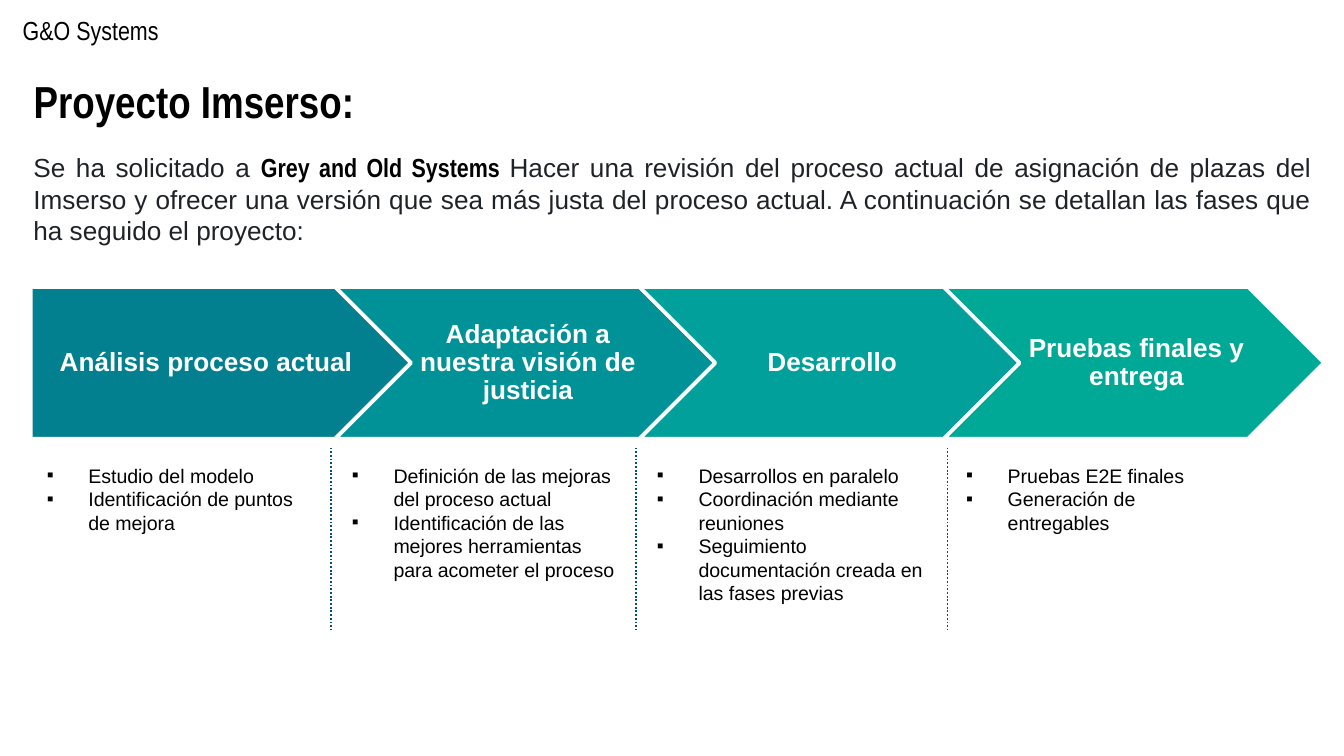
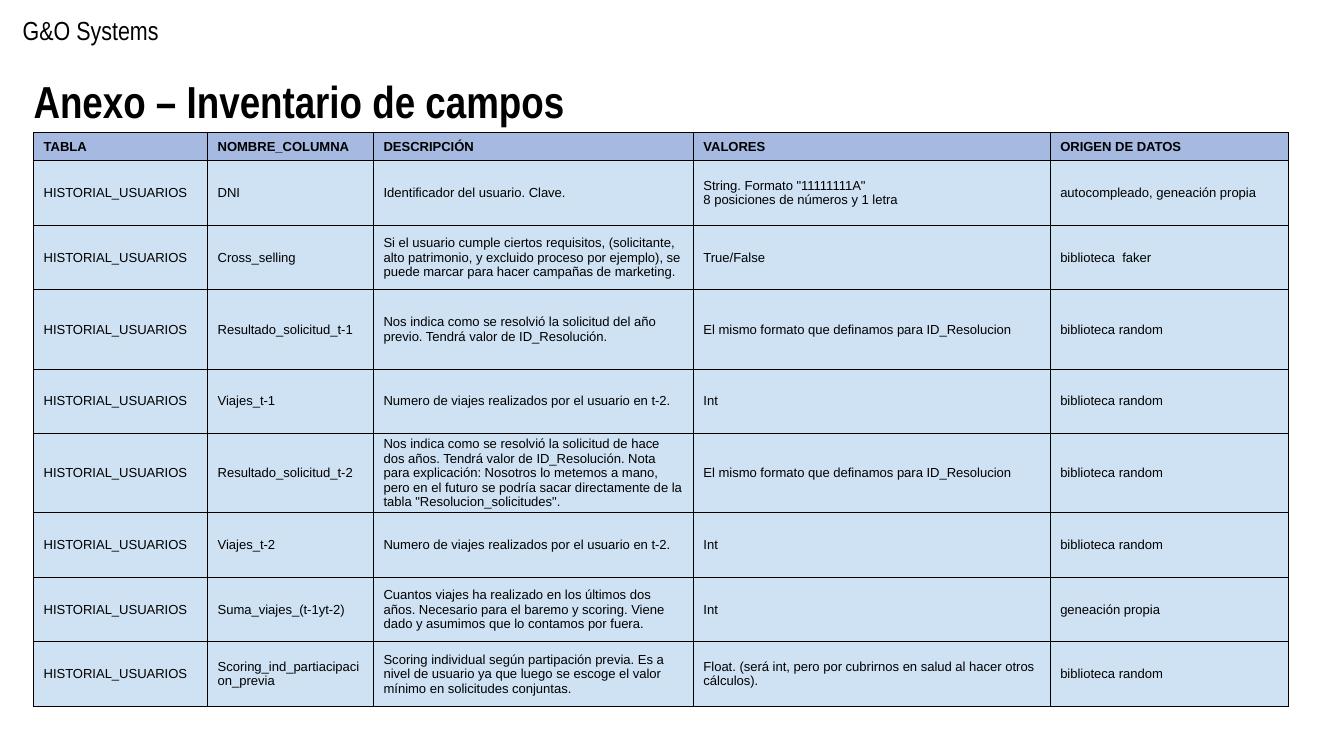
import lxml.etree
import pptx
import pptx.dml.color
import pptx.enum.dml
import pptx.enum.shapes
import pptx.enum.text
import pptx.oxml.ns
import pptx.util

RGBColor = pptx.dml.color.RGBColor
Align = pptx.enum.text.PP_ALIGN
Anchor = pptx.enum.text.MSO_ANCHOR
Shape = pptx.enum.shapes.MSO_SHAPE
qn = pptx.oxml.ns.qn

BLACK = RGBColor(0x00, 0x00, 0x00)
WHITE = RGBColor(0xFF, 0xFF, 0xFF)
INK = RGBColor(0x1F, 0x23, 0x28)
DIVIDER = RGBColor(0x00, 0x52, 0x72)
HEADER_FILL = RGBColor(0xA6, 0xB9, 0xE1)
BODY_FILL = RGBColor(0xCF, 0xE2, 0xF3)
PHASE_FILLS = [
    RGBColor(0x02, 0x80, 0x90),
    RGBColor(0x01, 0x92, 0x98),
    RGBColor(0x01, 0xA0, 0x9B),
    RGBColor(0x00, 0xA8, 0x96),
]

COLUMNS, ROWS = 100, 56.25
BODY_FONT, HEADING_FONT = "Arial", "Arial Narrow"

PHASES = [
    ("Análisis proceso actual", 2.5,
     ["Estudio del modelo", "Identificación de puntos de mejora"]),
    ("Adaptación a nuestra visión de justicia", 25.2,
     ["Definición de las mejoras del proceso actual",
      "Identificación de las mejores herramientas para acometer el proceso"]),
    ("Desarrollo", 47.9,
     ["Desarrollos en paralelo", "Coordinación mediante reuniones",
      "Seguimiento documentación creada en las fases previas"]),
    ("Pruebas finales y entrega", 70.9,
     ["Pruebas E2E finales", "Generación de entregables"]),
]
DIVIDERS = [24.6, 47.3, 70.5]

FIELD_HEADER = ["TABLA", "NOMBRE_COLUMNA", "DESCRIPCIÓN", "VALORES", "ORIGEN DE DATOS"]
FIELD_TABLE = "HISTORIAL_USUARIOS"
TRIPS = "Numero de viajes realizados por el usuario en t-2."
RESULT_FORMAT = "El mismo formato que definamos para ID_Resolucion"
RANDOM = "biblioteca random"
FIELDS = [
    ("DNI", "Identificador del usuario. Clave.",
     'String. Formato "11111111A"\v8 posiciones de números y 1 letra',
     "autocompleado, geneación propia"),
    ("Cross_selling",
     "Si el usuario cumple ciertos requisitos, (solicitante, alto patrimonio, y excluido "
     "proceso por ejemplo), se puede marcar para hacer campañas de marketing.",
     "True/False", "biblioteca  faker"),
    ("Resultado_solicitud_t-1",
     "Nos indica como se resolvió la solicitud del año previo. Tendrá valor de ID_Resolución.",
     RESULT_FORMAT, RANDOM),
    ("Viajes_t-1", TRIPS, "Int", RANDOM),
    ("Resultado_solicitud_t-2",
     "Nos indica como se resolvió la solicitud de hace dos años. Tendrá valor de ID_Resolución. "
     "Nota para explicación: Nosotros lo metemos a mano, pero en el futuro se podría sacar "
     'directamente de la tabla "Resolucion_solicitudes".',
     RESULT_FORMAT, RANDOM),
    ("Viajes_t-2", TRIPS, "Int", RANDOM),
    ("Suma_viajes_(t-1yt-2)",
     "Cuantos viajes ha realizado en los últimos dos años. Necesario para el baremo y scoring. "
     "Viene dado y asumimos que lo contamos por fuera.",
     "Int", "geneación propia"),
    ("Scoring_ind_partiacipacion_previa",
     "Scoring individual según partipación previa. Es a nivel de usuario ya que luego se escoge "
     "el valor mínimo en solicitudes conjuntas.",
     "Float. (será int, pero por cubrirnos en salud al hacer otros cálculos).", RANDOM),
]
FIELD_WIDTHS = [12.95, 12.35, 23.8, 26.55, 17.7]
FIELD_HEIGHTS = [2.1, 4.8, 4.8, 5.9, 4.8, 5.9, 4.8, 4.8, 4.8]


class Builder:
    def __init__(self):
        self.deck = pptx.Presentation()
        self.deck.slide_width = pptx.util.Inches(10)
        self.deck.slide_height = self.deck.slide_width * 9 // 16
        self.page = None

    def across(self, columns):
        return round(self.deck.slide_width * columns / COLUMNS)

    def down(self, rows):
        return round(self.deck.slide_height * rows / ROWS)

    def area(self, left, top, width, height):
        return self.across(left), self.down(top), self.across(width), self.down(height)

    def style(self, span, size, color=BLACK, bold=False, name=BODY_FONT):
        span.font.name = name
        span.font.size = pptx.util.Pt(size)
        span.font.bold = bold
        span.font.color.rgb = color

    def inset(self, holder, left, top, right, bottom):
        holder.margin_left = self.across(left)
        holder.margin_top = self.down(top)
        holder.margin_right = self.across(right)
        holder.margin_bottom = self.down(bottom)

    def add_page(self, title, width):
        self.page = self.deck.slides.add_slide(self.deck.slide_layouts[5])
        header = self.add_text(0.7, 0.5, 19.2, 3.4, ["G&O Systems"])
        header.vertical_anchor = Anchor.MIDDLE
        self.style(header.paragraphs[0].runs[0], 14, name=HEADING_FONT)
        box = self.page.shapes.title
        box.left, box.top, box.width, box.height = self.area(1.5, 4.5, width, 6.3)
        frame = box.text_frame
        frame.text = title
        frame.word_wrap = True
        frame.auto_size = pptx.enum.text.MSO_AUTO_SIZE.NONE
        frame.vertical_anchor = Anchor.TOP
        self.inset(frame, 1, 1, 1, 1)
        frame.paragraphs[0].alignment = Align.LEFT
        self.style(frame.paragraphs[0].runs[0], 24, bold=True, name=HEADING_FONT)

    def add_text(self, left, top, width, height, lines):
        frame = self.page.shapes.add_textbox(*self.area(left, top, width, height)).text_frame
        frame.word_wrap = True
        frame.auto_size = pptx.enum.text.MSO_AUTO_SIZE.SHAPE_TO_FIT_TEXT
        frame.text = "\n".join(lines)
        return frame

    def add_intro(self, left, top, width, height, spans):
        para = self.add_text(left, top, width, height, []).paragraphs[0]
        para.alignment = Align.JUSTIFY
        for text, strong in spans:
            span = para.add_run()
            span.text = text
            if strong:
                self.style(span, 14, bold=True, name=HEADING_FONT)
            else:
                self.style(span, 14, INK)

    def add_bullets(self, left, top, width, height, lines):
        indent = self.across(3.1)
        for para in self.add_text(left, top, width, height, lines).paragraphs:
            properties = para._p.get_or_add_pPr()
            properties.set("marL", str(indent))
            properties.set("indent", str(-indent))
            color = lxml.etree.SubElement(properties, qn("a:buClr"))
            lxml.etree.SubElement(color, qn("a:srgbClr"), val=str(BLACK))
            lxml.etree.SubElement(properties, qn("a:buFont"), typeface=BODY_FONT)
            lxml.etree.SubElement(properties, qn("a:buChar"), char="▪")
            self.style(para.runs[0], 10.5)

    def add_phase(self, kind, left, top, width, height, fill, text, margin):
        shape = self.page.shapes.add_shape(kind, *self.area(left, top, width, height))
        shape.shadow.inherit = False
        shape.fill.solid()
        shape.fill.fore_color.rgb = fill
        shape.line.color.rgb = WHITE
        shape.line.width = pptx.util.Pt(2)
        frame = shape.text_frame
        frame.text = text
        frame.word_wrap = True
        frame.vertical_anchor = Anchor.MIDDLE
        self.inset(frame, margin, 0.4, 0.2, 0.4)
        para = frame.paragraphs[0]
        para.alignment = Align.CENTER
        para.line_spacing = 0.9
        self.style(para.runs[0], 14, WHITE, True)

    def add_divider(self, column, top, bottom):
        line = self.page.shapes.add_connector(
            pptx.enum.shapes.MSO_CONNECTOR.STRAIGHT,
            self.across(column), self.down(top), self.across(column), self.down(bottom))
        line.line.color.rgb = DIVIDER
        line.line.width = pptx.util.Pt(1)
        line.line.dash_style = pptx.enum.dml.MSO_LINE.ROUND_DOT
        lxml.etree.SubElement(line._element.spPr, qn("a:effectLst"))

    def add_cell(self, cell, text, fill, bold):
        cell.text_frame.text = text
        cell.vertical_anchor = Anchor.MIDDLE
        self.inset(cell, 0.75, 0, 0.75, 0)
        for span in cell.text_frame.paragraphs[0].runs:
            self.style(span, 7, bold=bold)
        properties = cell._tc.get_or_add_tcPr()
        for side in ("a:lnL", "a:lnR", "a:lnT", "a:lnB"):
            border = lxml.etree.SubElement(properties, qn(side), w=str(pptx.util.Pt(0.5)))
            solid = lxml.etree.SubElement(border, qn("a:solidFill"))
            lxml.etree.SubElement(solid, qn("a:srgbClr"), val=str(BLACK))
        cell.fill.solid()
        cell.fill.fore_color.rgb = fill

    def add_table(self, left, top, widths, heights, records):
        table = self.page.shapes.add_table(
            len(heights), len(widths),
            *self.area(left, top, sum(widths), sum(heights))).table
        table.horz_banding = False
        for column, width in zip(table.columns, widths):
            column.width = self.across(width)
        for row, height in zip(table.rows, heights):
            row.height = self.down(height)
        for number, record in enumerate(records):
            heading = number == 0
            for cell, text in zip(table.rows[number].cells, record):
                self.add_cell(cell, text, HEADER_FILL if heading else BODY_FILL, heading)


def build_project(builder):
    builder.add_page("Proyecto Imserso:", 31.1)
    builder.add_intro(1.5, 10.8, 97.1, 8.1, [
        ("Se ha solicitado a ", False),
        ("Grey and Old Systems ", True),
        ("Hacer una revisión del proceso actual de asignación de plazas del Imserso y ofrecer "
         "una versión que sea más justa del proceso actual. A continuación se detallan las "
         "fases que ha seguido el proyecto:", False),
    ])
    for number, (name, left, tasks) in enumerate(PHASES):
        kind, margin = (Shape.CHEVRON, 0.6) if number else (Shape.PENTAGON, 0.8)
        builder.add_phase(kind, 2.3 + 22.64 * number, 21.35, 28.3, 11.3,
                          PHASE_FILLS[number], name, margin)
        builder.add_bullets(left, 34, 22, 6.3, tasks)
    for column in DIVIDERS:
        builder.add_divider(column, 33.3, 46.9)


def build_fields(builder):
    builder.add_page("Anexo – Inventario de campos", 57.4)
    records = [FIELD_HEADER] + [(FIELD_TABLE, *field) for field in FIELDS]
    builder.add_table(2.5, 9.87, FIELD_WIDTHS, FIELD_HEIGHTS, records)


def main():
    builder = Builder()
    build_project(builder)
    build_fields(builder)
    builder.deck.save("out.pptx")


if __name__ == "__main__":
    main()
